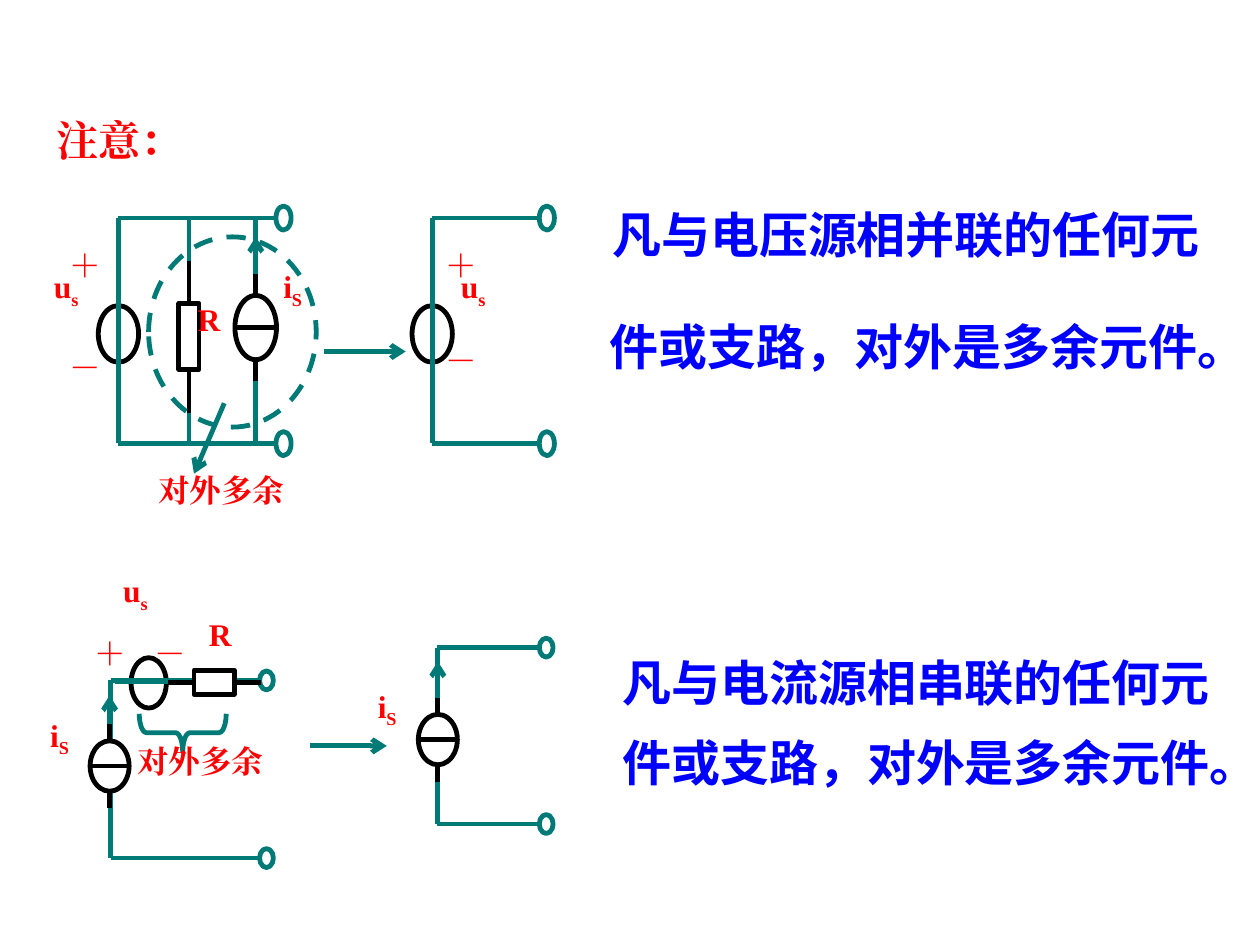
from typing import NamedTuple

from lxml.etree import SubElement
from pptx import Presentation
from pptx.dml.color import RGBColor
from pptx.enum.dml import MSO_LINE
from pptx.enum.shapes import MSO_CONNECTOR, MSO_SHAPE
from pptx.enum.text import MSO_ANCHOR, MSO_AUTO_SIZE, PP_ALIGN
from pptx.oxml.ns import qn
from pptx.util import Inches, Pt

TEAL = RGBColor(0x00, 0x7A, 0x77)
BLACK = RGBColor(0x00, 0x00, 0x00)
WHITE = RGBColor(0xFF, 0xFF, 0xFF)
RED = RGBColor(0xFF, 0x00, 0x00)
BLUE = RGBColor(0x00, 0x00, 0xFF)
SERIF = "Times New Roman"
SANS = "Noto Sans CJK SC"
STROKE = Pt(2.75)

deck = Presentation()
deck.slide_width, deck.slide_height = Inches(10), Inches(7.5)
CELL = deck.slide_width / 100


class Point(NamedTuple):
    column: float
    row: float


class Size(NamedTuple):
    columns: float
    rows: float


class Label(NamedTuple):
    corner: Point
    size: Size
    text: str
    subscript: str = ""
    wrap: bool = True


class Loop(NamedTuple):
    left: float
    top: float
    right: float
    bottom: float
    ring: Size


class CurrentSource(NamedTuple):
    centre: Point
    size: Size
    arrow_tip: float


class Statement(NamedTuple):
    corner: Point
    text: str


def cells(*counts: float) -> list[int]:
    return [round(count * CELL) for count in counts]


def style_text(span, size: float, colour: RGBColor, typeface: str) -> None:
    span.font.size, span.font.bold = Pt(size), True
    span.font.name = typeface
    span.font.color.rgb = colour
    SubElement(span.font._element, qn("a:ea")).set("typeface", typeface)


def write(frame, text: str, *, size: float = 18, colour: RGBColor = RED, typeface: str = SERIF,
          subscript: str = "", wrap: bool = True, margins: tuple = (1, 0.5)) -> None:
    frame.word_wrap = wrap
    frame.auto_size = MSO_AUTO_SIZE.SHAPE_TO_FIT_TEXT
    frame.vertical_anchor = MSO_ANCHOR.TOP
    frame.margin_left, frame.margin_top = cells(*margins)
    frame.margin_right, frame.margin_bottom = cells(*margins)
    para = frame.paragraphs[0]
    span = para.add_run()
    span.text = text
    style_text(span, size, colour, typeface)
    if subscript:
        span = para.add_run()
        span.text = subscript
        style_text(span, size, colour, typeface)
        span.font._element.set("baseline", "-25000")


def draw_label(group, label: Label) -> None:
    box = group.shapes.add_textbox(*cells(*label.corner, *label.size))
    write(box.text_frame, label.text, subscript=label.subscript, wrap=label.wrap)


def draw_wire(group, start: Point, end: Point, colour: RGBColor = TEAL, arrow: bool = False):
    wire = group.shapes.add_connector(MSO_CONNECTOR.STRAIGHT, *cells(*start, *end))
    wire.line.color.rgb, wire.line.width = colour, STROKE
    if arrow:
        SubElement(wire.line._get_or_add_ln(), qn("a:tailEnd")).set("type", "arrow")
    SubElement(wire._element.spPr, qn("a:effectLst"))
    return wire


def draw_outline(group, kind, centre: Point, size: Size, colour: RGBColor = BLACK, filled: bool = True):
    corner = Point(centre.column - size.columns / 2, centre.row - size.rows / 2)
    shape = group.shapes.add_shape(kind, *cells(*corner, *size))
    shape.shadow.inherit = False
    if filled:
        shape.fill.solid()
        shape.fill.fore_color.rgb = WHITE
    else:
        shape.fill.background()
    shape.line.color.rgb, shape.line.width = colour, STROKE
    return shape


def draw_loop(group, loop: Loop) -> None:
    for row in (loop.top, loop.bottom):
        centre = Point(loop.right + loop.ring.columns / 2, row)
        draw_outline(group, MSO_SHAPE.OVAL, centre, loop.ring, TEAL)
        draw_wire(group, Point(loop.left, row), Point(loop.right, row))
    draw_wire(group, Point(loop.left, loop.top), Point(loop.left, loop.bottom))


def draw_voltage_source(group, centre: Point) -> None:
    draw_outline(group, MSO_SHAPE.OVAL, centre, Size(3.2, 4.5))
    draw_wire(group, Point(centre.column, centre.row - 4), Point(centre.column, centre.row + 4), BLACK)


def draw_current_source(group, source: CurrentSource) -> None:
    (column, row), (columns, rows) = source.centre, source.size
    top, bottom = row - rows / 2, row + rows / 2
    draw_wire(group, Point(column, top - 0.9), Point(column, source.arrow_tip), arrow=True)
    draw_outline(group, MSO_SHAPE.FLOWCHART_CONNECTOR, source.centre, source.size)
    draw_wire(group, Point(column + columns / 2, row), Point(column - columns / 2, row), BLACK)
    draw_wire(group, Point(column, top), Point(column, top - rows / 3), BLACK)
    draw_wire(group, Point(column, bottom), Point(column, bottom + rows / 3), BLACK)


def draw_resistor(group, centre: Point, size: Size, leads: dict[int, Point]) -> None:
    body = draw_outline(group, MSO_SHAPE.RECTANGLE, centre, size)
    for side, far_end in leads.items():
        draw_wire(group, centre, far_end, BLACK).begin_connect(body, side)


def draw_statement(page, statement: Statement) -> None:
    width = len(statement.text) * Pt(28) / CELL
    box = page.shapes.add_textbox(*cells(*statement.corner, width, 4.7))
    box.fill.solid()
    box.fill.fore_color.rgb = WHITE
    write(box.text_frame, statement.text, size=28, colour=BLUE, typeface=SANS, wrap=False, margins=(0, 0))


def draw_parallel_case(page) -> None:
    group = page.shapes.add_group_shape()
    ring = Size(1.2, 1.9)
    for column, right in ((9.4, 21.9), (34.3, 42.8)):
        draw_voltage_source(group, Point(column, 26.5))
        draw_loop(group, Loop(column, 17.3, right, 35.2, ring))
    for column in (15, 20.3):
        draw_wire(group, Point(column, 17.3), Point(column, 35.2))
    draw_resistor(group, Point(15, 26.7), Size(1.6, 5.2), {0: Point(15, 20.7), 2: Point(15, 32.8)})
    draw_current_source(group, CurrentSource(Point(20.3, 26), Size(3.3, 5.1), 18.8))
    redundant = draw_outline(group, MSO_SHAPE.OVAL, Point(18.45, 26.35), Size(13.3, 15.1), TEAL, filled=False)
    redundant.line.dash_style = MSO_LINE.DASH
    draw_wire(group, Point(25.7, 27.9), Point(32.2, 27.9), arrow=True)
    draw_wire(group, Point(17.8, 32), Point(15.4, 37.6), arrow=True)
    sign, symbol = Size(4.8, 4), Size(6, 4.4)
    for label in (
        Label(Point(4.5, 19), sign, "＋"),
        Label(Point(4.5, 27.1), sign, "－"),
        Label(Point(3.3, 20.7), symbol, "u", "s"),
        Label(Point(34.4, 19), sign, "＋"),
        Label(Point(34.4, 26.6), sign, "－"),
        Label(Point(35.6, 20.7), symbol, "u", "s"),
        Label(Point(21.5, 20.7), symbol, "i", "S"),
        Label(Point(14.7, 23.3), symbol, "R"),
        Label(Point(11.6, 36.9), Size(12, 4), "对外多余", wrap=False),
    ):
        draw_label(group, label)


def draw_series_case(page) -> None:
    group = page.shapes.add_group_shape()
    ring, source_size = Size(1.1, 1.5), Size(3.1, 4)
    draw_outline(group, MSO_SHAPE.OVAL, Point(11.8, 54.2), Size(2.8, 4))
    draw_wire(group, Point(9.1, 54.1), Point(14.5, 54.1))
    draw_loop(group, Loop(8.8, 54, 20.6, 68.1, ring))
    draw_loop(group, Loop(34.7, 51.4, 42.8, 65.4, ring))
    draw_current_source(group, CurrentSource(Point(8.7, 60.8), source_size, 55.2))
    draw_current_source(group, CurrentSource(Point(34.75, 58.7), source_size, 52.5))
    draw_resistor(group, Point(17, 54.15), Size(3.2, 1.9), {3: Point(20.7, 54.15), 1: Point(13.3, 54.15)})
    brace = draw_outline(group, MSO_SHAPE.LEFT_BRACE, Point(14.5, 58.15), Size(3, 6.9), TEAL, filled=False)
    brace.rotation = 270
    brace.adjustments[0] = 0.19
    draw_wire(group, Point(24.6, 59.2), Point(30.7, 59.2), arrow=True)
    sign, symbol = Size(4.6, 4), Size(5.7, 4.4)
    for label in (
        Label(Point(6.5, 49.8), sign, "＋"),
        Label(Point(11.3, 49.8), sign, "－"),
        Label(Point(8.8, 44.8), symbol, "u", "s"),
        Label(Point(3, 56.3), symbol, "i", "S"),
        Label(Point(29, 54), symbol, "i", "S"),
        Label(Point(15.6, 48.3), symbol, "R"),
        Label(Point(9.9, 58.4), Size(12.4, 4), "对外多余"),
    ):
        draw_label(group, label)


def main() -> None:
    page = deck.slides.add_slide(deck.slide_layouts[5])
    title = page.shapes.title
    title.left, title.top, title.width, title.height = cells(3.5, 7.4, 89.1, 6.2)
    write(title.text_frame, "注意：", size=24)
    heading = title.text_frame.paragraphs[0]
    heading.alignment, heading.line_spacing = PP_ALIGN.JUSTIFY, 1.3
    draw_parallel_case(page)
    draw_series_case(page)
    for statement in (
        Statement(Point(48.6, 16.2), "凡与电压源相并联的任何元"),
        Statement(Point(48.4, 25.1), "件或支路，对外是多余元件。"),
        Statement(Point(49.4, 51.8), "凡与电流源相串联的任何元"),
        Statement(Point(49.4, 58.1), "件或支路，对外是多余元件。"),
    ):
        draw_statement(page, statement)
    deck.save("out.pptx")


if __name__ == "__main__":
    main()
